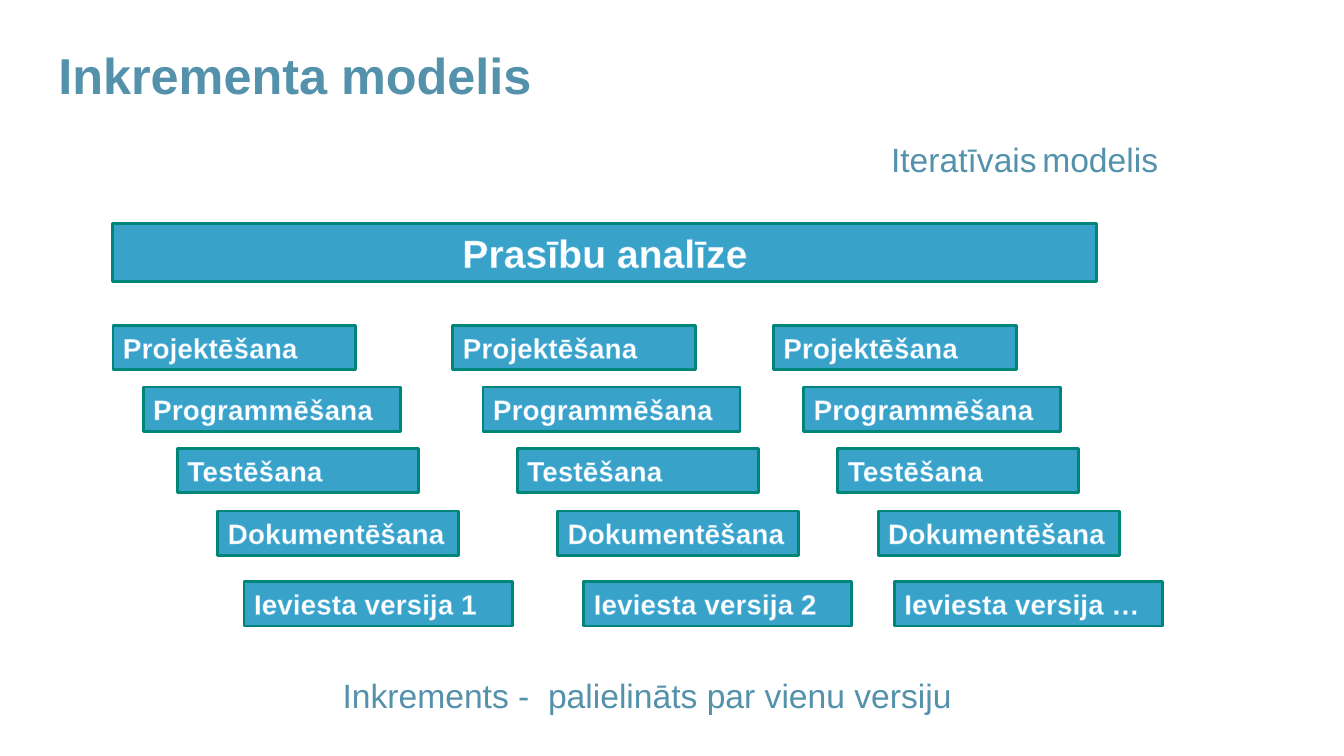
from lxml.etree import SubElement
from pptx import Presentation
from pptx.dml.color import RGBColor
from pptx.enum.shapes import MSO_SHAPE as Shape
from pptx.enum.text import MSO_ANCHOR as Anchor, MSO_AUTO_SIZE as AutoSize, PP_ALIGN as Align
from pptx.oxml.ns import qn
from pptx.util import Inches, Pt

COLORS = {
    "heading": "5491AB",
    "bar": "38A2C8",
    "border": "008579",
    "white": "FFFFFF",
    "glow": "65BAE8",
    "black": "000000",
}

# Stage: label, shift from the column's left edge, top, width
STAGES = [
    ("Projektēšana", 0, 3.23, 2.41),
    ("Programmēšana", 0.3, 3.84, 2.55),
    ("Testēšana", 0.64, 4.45, 2.39),
    ("Dokumentēšana", 1.04, 5.07, 2.39),
]
# Increment: column left, version mark, shift of its release bar
INCREMENTS = [(1.12, "1", 1.3), (4.49, "2", 1.3), (7.67, "…", 1.2)]
RELEASE_TOP, RELEASE_WIDTH, BAR_HEIGHT = 5.77, 2.66, 0.44


def color(name):
    return RGBColor.from_string(COLORS[name])


def add_span(para, text, size, tint, bold=False):
    span = para.add_run()
    span.text = text
    span.font.name = "Arial"
    span.font.size = Pt(size)
    span.font.bold = bold
    span.font.color.rgb = color(tint)
    return span


def outline_span(span):
    properties = span.font._element
    line = SubElement(properties, qn("a:ln"), w=str(Pt(0.8)))
    fill = SubElement(line, qn("a:solidFill"))
    SubElement(fill, qn("a:srgbClr"), val=COLORS["glow"])
    properties.insert(0, line)


def add_text(page, box, spans):
    frame = page.shapes.add_textbox(*map(Inches, box)).text_frame
    frame.word_wrap = True
    para = frame.paragraphs[0]
    for text, size, tint, bold in spans:
        add_span(para, text, size, tint, bold)
    return para


def add_bar(page, box, label, size=20, align=Align.LEFT):
    bar = page.shapes.add_shape(Shape.RECTANGLE, *map(Inches, box))
    bar.shadow.inherit = False
    bar.fill.solid()
    bar.fill.fore_color.rgb = color("bar")
    bar.line.color.rgb = color("border")
    bar.line.width = Pt(2)
    frame = bar.text_frame
    frame.word_wrap = True
    frame.auto_size = AutoSize.SHAPE_TO_FIT_TEXT
    frame.vertical_anchor = Anchor.TOP
    para = frame.paragraphs[0]
    para.alignment = align
    outline_span(add_span(para, label, size, "white", True))


def add_increment(page, left, version, release_shift):
    for label, shift, top, width in STAGES:
        add_bar(page, (left + shift, top, width, BAR_HEIGHT), label)
    release = (left + release_shift, RELEASE_TOP, RELEASE_WIDTH, BAR_HEIGHT)
    add_bar(page, release, f"Ieviesta versija {version}")


def add_headings(page):
    title = add_text(page, (0.48, 0.46, 9.39, 1.41),
                     [("Inkrementa modelis", 36, "heading", True)])
    title.line_spacing = 0.9
    add_text(page, (8.74, 1.33, 3.1, 0.5), [
        ("Iteratīvais", 24, "heading", False),
        (" ", 14, "black", False),
        ("modelis", 24, "heading", False),
    ])


def add_caption(page, box):
    para = add_text(page, box, [
        ("Inkrements -  palielināts par vienu versiju", 24, "heading", False)])
    properties = para._p.get_or_add_pPr()
    properties.set("marL", str(Inches(0.25)))
    properties.set("indent", "0")


def main():
    deck = Presentation()
    deck.slide_width, deck.slide_height = Inches(13.33), Inches(7.5)
    page = deck.slides.add_slide(deck.slide_layouts[6])

    # Title and subtitle
    add_headings(page)

    # Shared analysis, then one staircase per increment
    add_bar(page, (1.12, 2.22, 9.76, 0.57), "Prasību analīze", 28, Align.CENTER)
    for left, version, release_shift in INCREMENTS:
        add_increment(page, left, version, release_shift)

    # Closing caption
    add_caption(page, (3.05, 6.65, 8.06, 0.5))

    deck.save("out.pptx")


if __name__ == "__main__":
    main()
